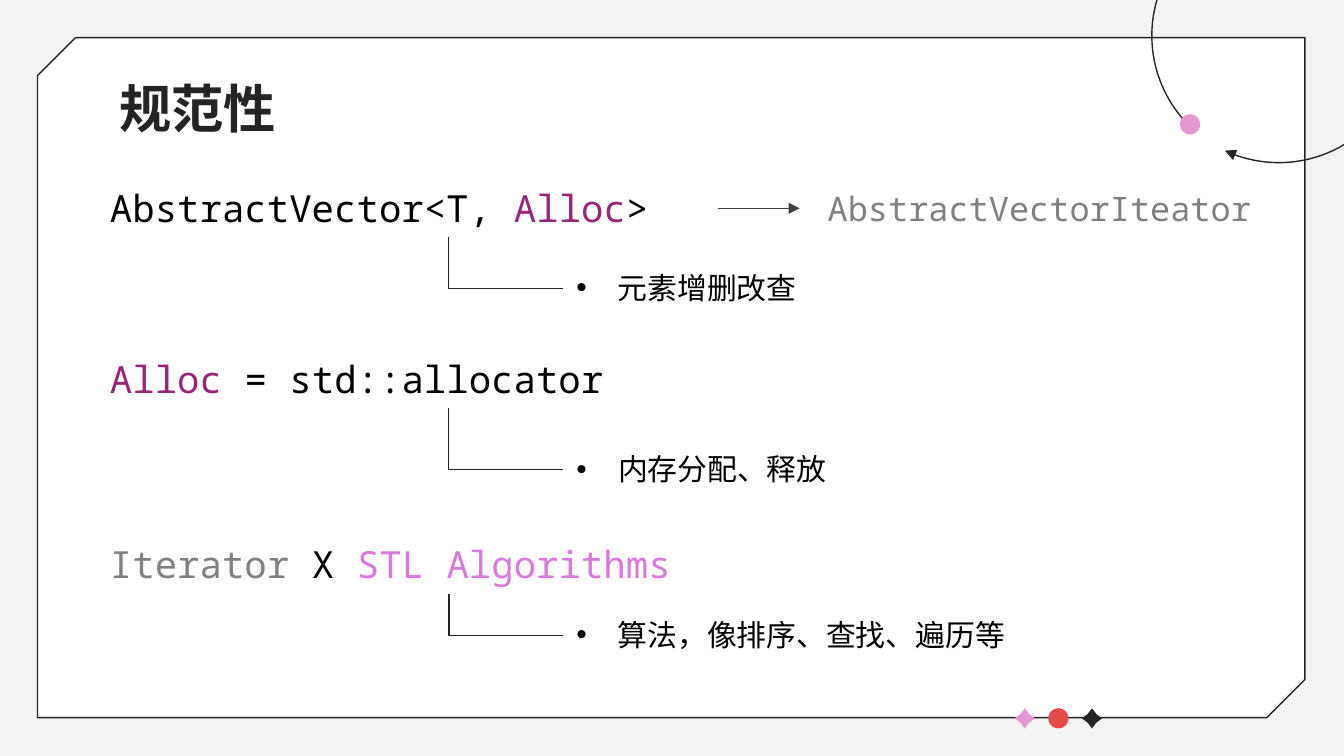
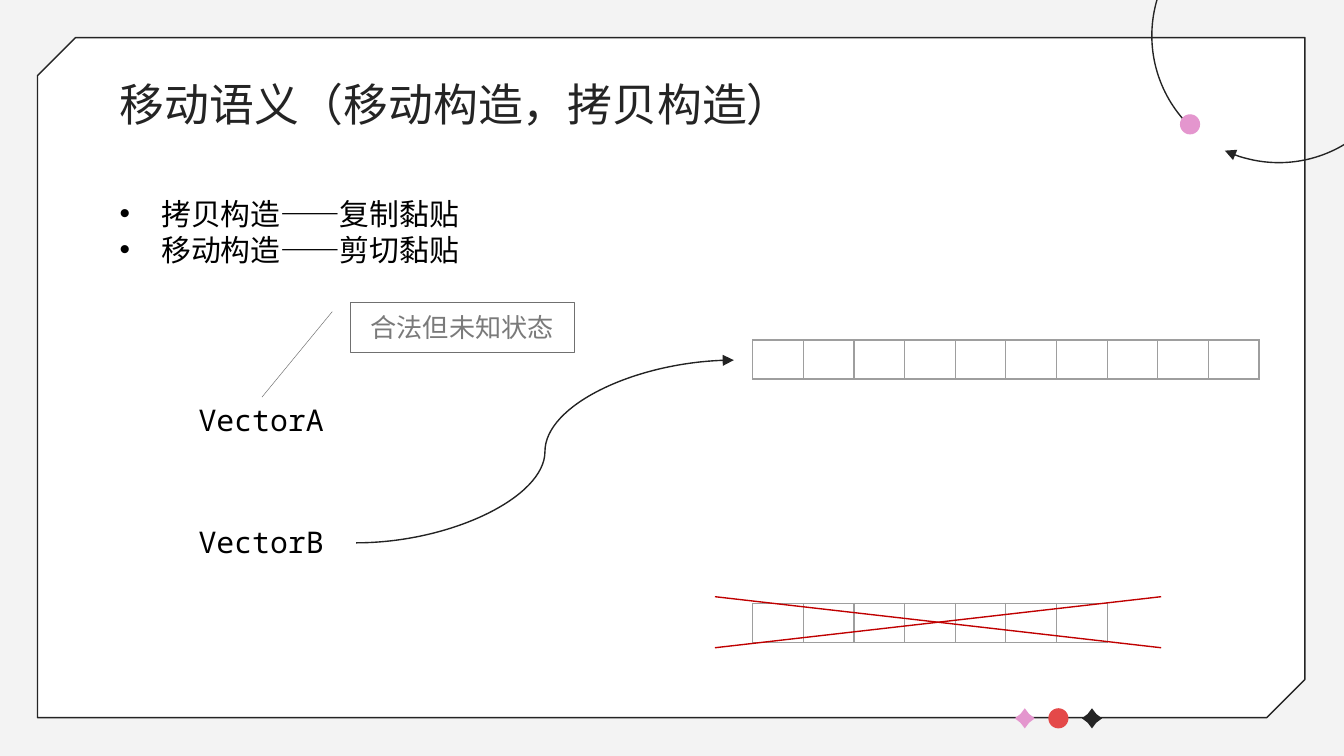
from lxml.etree import SubElement
from pptx import Presentation
from pptx.dml.color import RGBColor
from pptx.enum.shapes import MSO_CONNECTOR, MSO_SHAPE
from pptx.enum.text import MSO_ANCHOR, MSO_AUTO_SIZE, PP_ALIGN
from pptx.oxml.ns import qn
from pptx.util import Emu, Pt

PX = 9144  # 100 px to the inch
SANS, MONO, LATIN = "Noto Sans CJK SC", "Noto Sans Mono", "Arial"
PAPER, WHITE, BLACK, INK, LINK = "F3F3F3", "FFFFFF", "000000", "242424", "232323"
PINK, RED, CROSS = "E496CE", "E44949", "C00000"
PURPLE, ORCHID, GREY = "962777", "D979DB", "808080"
CALLOUT_EDGE, CALLOUT_TEXT = "707070", "7A7A7A"
ARROW, GRID = "404040", "9E9E9E"


def px(*lengths):
    return [Emu(length * PX) for length in lengths]


def rgb(value):
    return RGBColor.from_string(value)


def place(shape, box):
    shape.left, shape.top, shape.width, shape.height = px(*box)


def style_line(shape, color, width=0.75, arrow=False):
    shape.line.color.rgb = rgb(color)
    shape.line.width = Pt(width)
    if arrow:
        SubElement(shape._element.spPr.find(qn("a:ln")), qn("a:tailEnd"), type="triangle")


def add_run(paragraph, text, size, font, color, bold=False):
    run = paragraph.add_run()
    run.text = text
    run.font.name = font
    run.font.size = Pt(size)
    run.font.bold = bold
    run.font.color.rgb = rgb(color)
    SubElement(run._r.get_or_add_rPr(), qn("a:ea"), typeface=SANS)


def add_preset(slide, preset, box, fill=None, line=None, adjustments=(), width=0.75, arrow=False):
    shape = slide.shapes.add_shape(preset, *px(*box))
    shape.shadow.inherit = False
    for index, value in enumerate(adjustments):
        shape.adjustments[index] = value
    if fill:
        shape.fill.solid()
        shape.fill.fore_color.rgb = rgb(fill)
    else:
        shape.fill.background()
    if line:
        style_line(shape, line, width, arrow)
    else:
        shape.line.fill.background()
    return shape


def decorate_master(master, slide):
    """Draw the shared frame and ornaments on slide, then move them to the master."""
    frame = add_preset(slide, MSO_SHAPE.SNIP_2_DIAG_RECTANGLE, (28, 28, 943, 506),
                       WHITE, INK, (0, 0.056))
    frame._element.spPr.xfrm.set("flipH", "1")
    ornaments = [frame]
    marks = [(MSO_SHAPE.STAR_4_POINT, PINK, (0.303,)),
             (MSO_SHAPE.OVAL, RED, ()),
             (MSO_SHAPE.STAR_4_POINT, INK, (0.303,))]
    for index, (preset, color, adjustments) in enumerate(marks):
        ornaments.append(add_preset(slide, preset, (755 + 25 * index, 527, 15, 15),
                                    color, adjustments=adjustments))
    orbit = add_preset(slide, MSO_SHAPE.ARC, (857, -68, 189, 189), None, INK,
                       (162, 150.075), arrow=True)
    orbit.rotation = 225
    planet = add_preset(slide, MSO_SHAPE.OVAL, (878, 85, 15, 15), PINK)
    planet.rotation = 315
    for number, ornament in enumerate(ornaments + [orbit, planet], start=20):
        ornament._element.xpath(".//p:cNvPr")[0].set("id", str(number))
        master.shapes._spTree.append(ornament._element)


def set_title(slide, text, size, bold=False):
    title = slide.shapes.title
    place(title, (79, 47, 843, 63))
    frame = title.text_frame
    frame.auto_size = MSO_AUTO_SIZE.NONE
    frame.vertical_anchor = MSO_ANCHOR.TOP
    frame.margin_left, frame.margin_top, frame.margin_right, frame.margin_bottom = px(10, 10, 10, 10)
    paragraph = frame.paragraphs[0]
    paragraph.alignment = PP_ALIGN.LEFT
    add_run(paragraph, text, size, SANS, INK, bold)


def add_code(slide, box, size, *parts):
    """Write one line of code; each part is a (text, color) pair."""
    frame = slide.shapes.add_textbox(*px(*box)).text_frame
    frame.word_wrap = True
    frame.auto_size = MSO_AUTO_SIZE.SHAPE_TO_FIT_TEXT
    for text, color in parts:
        add_run(frame.paragraphs[0], text, size, MONO, color)


def fill_bullets(frame, items, font):
    frame.word_wrap = False
    frame.auto_size = MSO_AUTO_SIZE.SHAPE_TO_FIT_TEXT
    for index, item in enumerate(items):
        paragraph = frame.add_paragraph() if index else frame.paragraphs[0]
        properties = paragraph._p.get_or_add_pPr()
        properties.set("marL", str(31 * PX))
        properties.set("indent", str(-31 * PX))
        bullet_color = SubElement(properties, qn("a:buClr"))
        SubElement(bullet_color, qn("a:srgbClr"), val=BLACK)
        SubElement(properties, qn("a:buFont"), typeface=LATIN)
        SubElement(properties, qn("a:buChar"), char="•")
        paragraph.line_spacing = Pt(19)
        paragraph.space_before = Pt(0)
        add_run(paragraph, item, 16, font, BLACK)


def add_link(slide, ends, color, kind=MSO_CONNECTOR.STRAIGHT, arrow=False):
    link = slide.shapes.add_connector(kind, *px(*ends))
    style_line(link, color, arrow=arrow)
    SubElement(link._element.spPr, qn("a:effectLst"))
    return link


def add_elbow(slide, x1, y1, x2, y2):
    """Go down from the first point, then right to the second."""
    drop, reach = y2 - y1, x2 - x1
    left, top = (x1 + x2 - drop) // 2, (y1 + y2 - reach) // 2
    elbow = add_link(slide, (left, top, left + drop, top + reach), LINK, MSO_CONNECTOR.ELBOW)
    properties = elbow._element.spPr
    properties.find(qn("a:prstGeom")).set("prst", "bentConnector2")
    properties.xfrm.set("rot", str(270 * 60000))
    properties.xfrm.set("flipH", "1")


def add_memory(slide, box, count):
    """Draw a row of empty storage cells."""
    table = slide.shapes.add_table(1, count, *px(*box)).table
    table.first_row = table.horz_banding = False
    for cell in table.iter_cells():
        cell.margin_top = cell.margin_bottom = 0
        SubElement(cell.text_frame.paragraphs[0]._p, qn("a:endParaRPr"), sz="1000")
        properties = cell._tc.get_or_add_tcPr()
        for side in ("lnL", "lnR", "lnT", "lnB"):
            border = SubElement(properties, qn(f"a:{side}"), w=str(Pt(0.75)))
            SubElement(SubElement(border, qn("a:solidFill")), qn("a:srgbClr"), val=GRID)
        cell.fill.background()


def build_conformance(slide):
    set_title(slide, "规范性", 28, bold=True)
    add_code(slide, (72, 133, 523, 44), 20,
             ("AbstractVector<T, ", BLACK), ("Alloc", PURPLE), (">", BLACK))
    add_code(slide, (72, 260, 523, 44), 20, ("Alloc", PURPLE), (" = std::allocator", BLACK))
    add_code(slide, (72, 398, 523, 44), 20,
             ("Iterator", GREY), (" X ", BLACK), ("STL Algorithms", ORCHID))
    add_code(slide, (606, 135, 373, 40), 18, ("AbstractVectorIteator", GREY))
    add_link(slide, (534, 155, 595, 155), ARROW, arrow=True)

    duties = [(177, 196, 186, "元素增删改查"),
              (304, 331, 209, "内存分配、释放"),
              (442, 454, 343, "算法，像排序、查找、遍历等")]
    for code_bottom, top, width, duty in duties:
        note = slide.shapes.add_textbox(*px(419, top, width, 37))
        fill_bullets(note.text_frame, [duty], LATIN)
        add_elbow(slide, 334, code_bottom, 419, top + 19)


def build_move_semantics(slide):
    set_title(slide, "移动语义（移动构造，拷贝构造）", 24)
    constructors = slide.placeholders[1]
    place(constructors, (79, 141, 276, 64))
    fill_bullets(constructors.text_frame,
                 ["拷贝构造——复制黏贴", "移动构造——剪切黏贴"], SANS)

    add_memory(slide, (560, 253, 377, 29), 10)
    add_code(slide, (138, 294, 127, 37), 16, ("VectorA", BLACK))
    add_code(slide, (138, 385, 127, 37), 16, ("VectorB", BLACK))
    add_memory(slide, (560, 449, 264, 29), 7)
    add_link(slide, (265, 404, 546, 268), LINK, MSO_CONNECTOR.CURVE, arrow=True)

    state = add_preset(slide, MSO_SHAPE.LINE_CALLOUT_1, (261, 225, 166, 37), WHITE,
                       CALLOUT_EDGE, (0.188, -0.083, 1.906, -0.398), width=0.25)
    state.text_frame.word_wrap = True
    state.text_frame.vertical_anchor = MSO_ANCHOR.MIDDLE
    caption = state.text_frame.paragraphs[0]
    caption.alignment = PP_ALIGN.CENTER
    add_run(caption, "合法但未知状态", 14, SANS, CALLOUT_TEXT)

    for start, end in ((444, 482), (482, 444)):
        add_link(slide, (532, start, 864, end), CROSS)


def main():
    deck = Presentation()
    deck.slide_width = Emu(1000 * PX)
    deck.slide_height = Emu(deck.slide_width * 9 // 16)
    master = deck.slide_master
    master.background.fill.solid()
    master.background.fill.fore_color.rgb = rgb(PAPER)
    list_layout, title_layout = deck.slide_layouts[1], deck.slide_layouts[5]

    conformance = deck.slides.add_slide(title_layout)
    decorate_master(master, conformance)
    build_conformance(conformance)
    build_move_semantics(deck.slides.add_slide(list_layout))
    deck.save("out.pptx")


if __name__ == "__main__":
    main()
